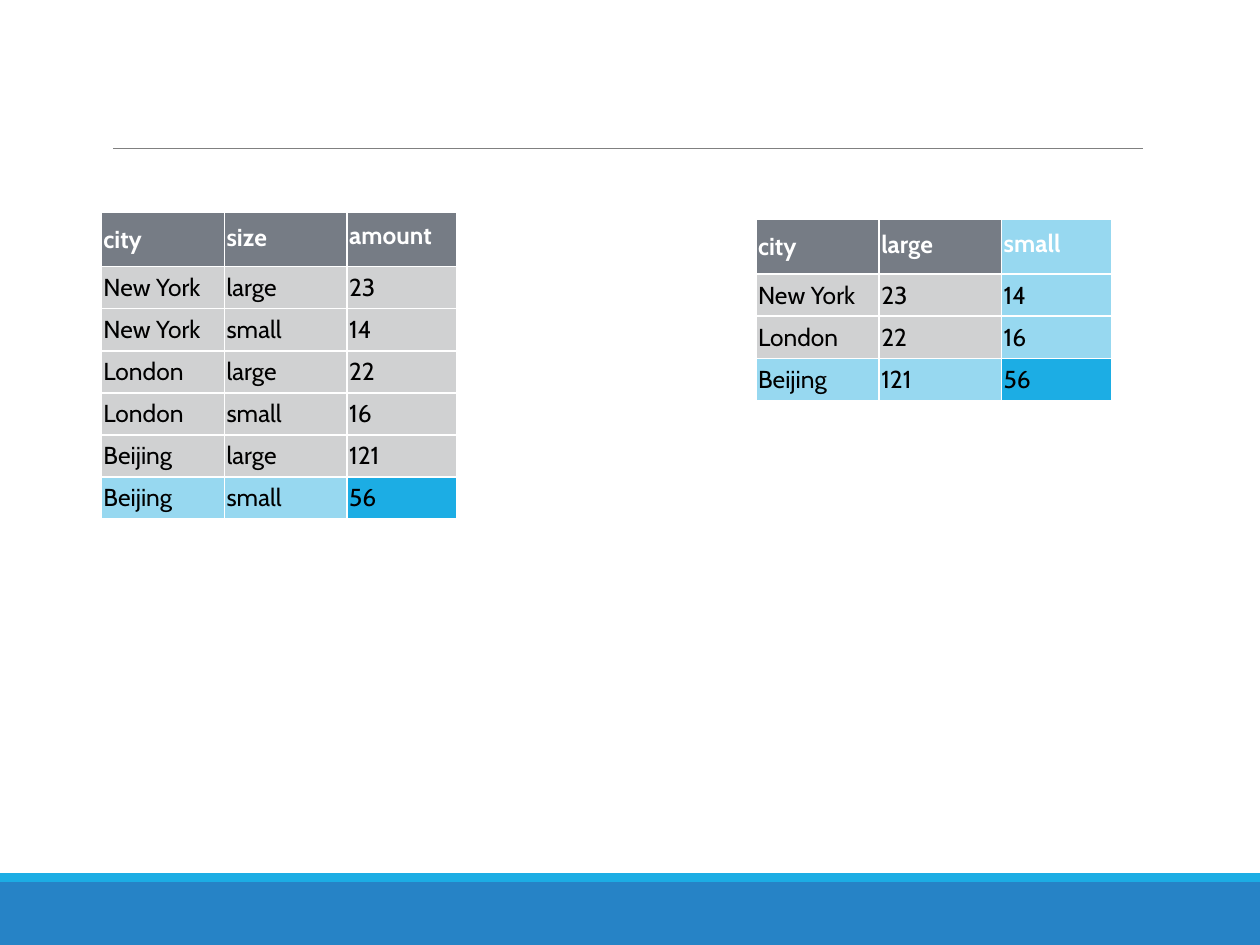
from lxml import etree
from pptx import Presentation
from pptx.dml.color import RGBColor
from pptx.enum.shapes import MSO_CONNECTOR as Connector, MSO_SHAPE as Shape
from pptx.enum.text import MSO_ANCHOR as Anchor, PP_ALIGN as Align
from pptx.oxml.ns import qn
from pptx.util import Pt

WHITE, BLACK = "FFFFFF", "000000"
HEADER, BODY = "767C85", "D0D1D2"
PALE, BRIGHT, FOOTER = "97D8F0", "1CADE4", "2683C6"
COLUMN_WIDTHS = (70.4, 70, 62.8)
HEADER_HEIGHT, ROW_HEIGHT = 31.4, 24.05
HEADER_SPACING = (1, 0.8, 0.6)


def color(value):
    return RGBColor.from_string(value)


def add_band(page, left, top, width, height, fill):
    band = page.shapes.add_shape(
        Shape.RECTANGLE, Pt(left), Pt(top), Pt(width), Pt(height))
    band.shadow.inherit = False
    band.fill.solid()
    band.fill.fore_color.rgb = color(fill)
    band.line.fill.background()


def add_footer(page, left, top, width, height):
    stripe = 5
    add_band(page, left, top + stripe, width, height - stripe, FOOTER)
    add_band(page, left, top, width, stripe, BRIGHT)


def add_title_rule(page, left, top, width):
    rule = page.shapes.add_connector(
        Connector.STRAIGHT, Pt(left), Pt(top), Pt(left + width), Pt(top))
    rule.line.color.rgb = color("808080")
    rule.line.width = Pt(0.5)
    etree.SubElement(rule.element.spPr, qn("a:effectLst"))


def add_borders(cell):
    properties = cell._tc.get_or_add_tcPr()
    for position, side in enumerate(("lnL", "lnR", "lnT", "lnB")):
        line = etree.Element(qn(f"a:{side}"), w=str(Pt(1)))
        fill = etree.SubElement(line, qn("a:solidFill"))
        etree.SubElement(fill, qn("a:srgbClr"), val=WHITE)
        properties.insert(position, line)


def fill_cell(cell, text, fill, is_header, spacing):
    cell.fill.solid()
    cell.fill.fore_color.rgb = color(fill)
    cell.vertical_anchor = Anchor.MIDDLE
    cell.margin_left = cell.margin_right = Pt(1.2)
    cell.margin_top = cell.margin_bottom = Pt(1.2)
    add_borders(cell)
    para = cell.text_frame.paragraphs[0]
    para.alignment = Align.LEFT
    if spacing != 1:
        para.line_spacing = spacing
    span = para.add_run()
    span.text = text
    span.font.name = "Cabin"
    span.font.size = Pt(14)
    span.font.bold = is_header
    span.font.color.rgb = color(WHITE if is_header else BLACK)


def add_data_table(page, left, top, rows, highlights):
    heights = [HEADER_HEIGHT] + [ROW_HEIGHT] * (len(rows) - 1)
    table = page.shapes.add_table(
        len(rows), len(COLUMN_WIDTHS), Pt(left), Pt(top),
        Pt(sum(COLUMN_WIDTHS)), Pt(sum(heights))).table
    for column, width in zip(table.columns, COLUMN_WIDTHS):
        column.width = Pt(width)
    for row_index, (values, height) in enumerate(zip(rows, heights)):
        table.rows[row_index].height = Pt(height)
        is_header = row_index == 0
        for column_index, text in enumerate(values):
            default = HEADER if is_header else BODY
            fill = highlights.get((row_index, column_index), default)
            spacing = HEADER_SPACING[column_index] if is_header else 1
            fill_cell(table.cell(row_index, column_index), text, fill,
                      is_header, spacing)


def main():
    deck = Presentation()
    deck.slide_width, deck.slide_height = Pt(720), Pt(540)
    page = deck.slides.add_slide(deck.slide_layouts[6])
    add_footer(page, 0, 499, 720, 41)
    add_title_rule(page, 64.6, 85, 588.4)

    long_rows = [
        ("city", "size", "amount"),
        ("New York", "large", "23"),
        ("New York", "small", "14"),
        ("London", "large", "22"),
        ("London", "small", "16"),
        ("Beijing", "large", "121"),
        ("Beijing", "small", "56"),
    ]
    add_data_table(page, 57.9, 121, long_rows,
                   {(6, 0): PALE, (6, 1): PALE, (6, 2): BRIGHT})

    wide_rows = [
        ("city", "large", "small"),
        ("New York", "23", "14"),
        ("London", "22", "16"),
        ("Beijing", "121", "56"),
    ]
    crossing = {(row, 2): PALE for row in range(3)}
    crossing.update({(3, 0): PALE, (3, 1): PALE, (3, 2): BRIGHT})
    add_data_table(page, 432, 125.3, wide_rows, crossing)

    deck.save("out.pptx")


if __name__ == "__main__":
    main()
